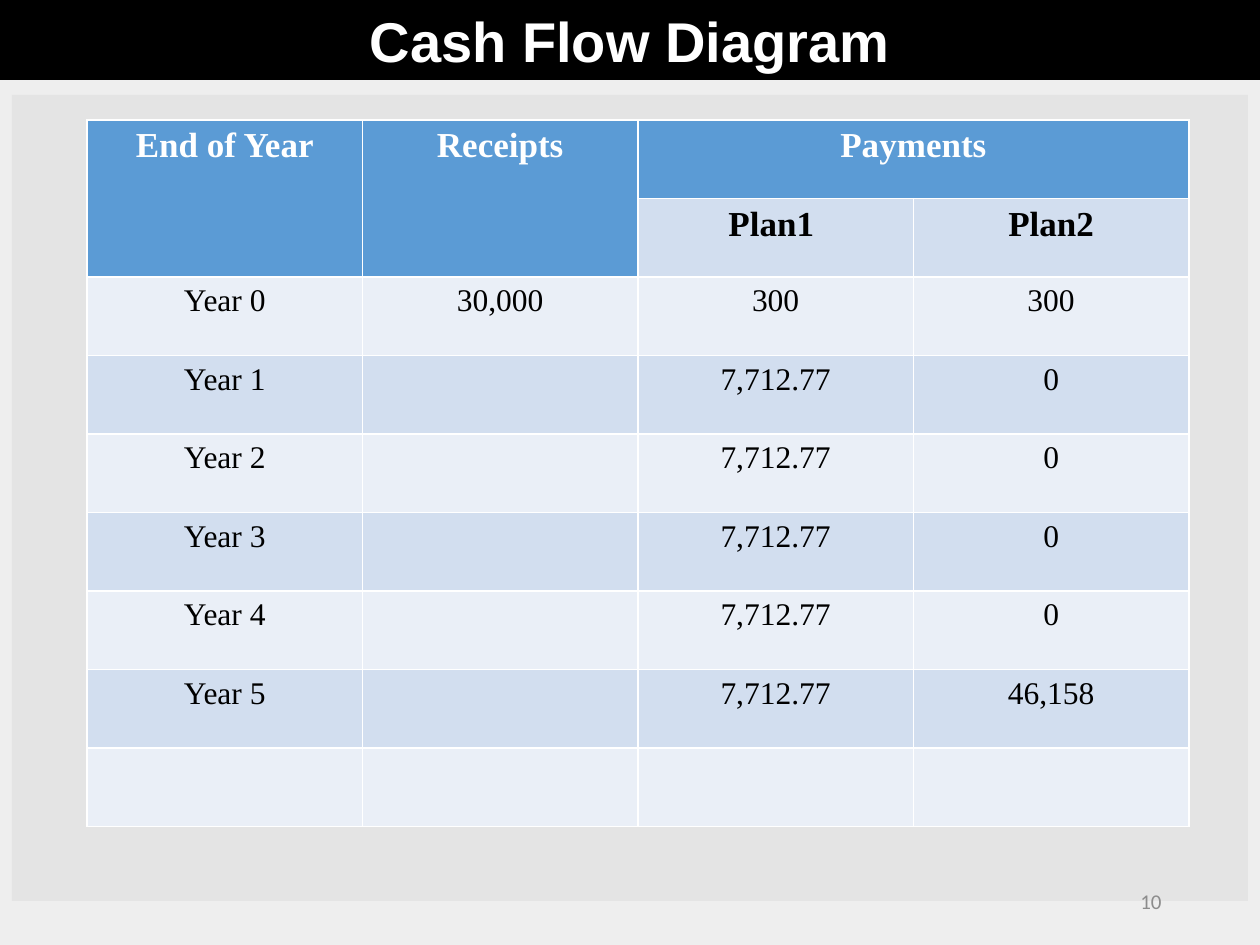
from pptx import Presentation
from pptx.dml.color import RGBColor
from pptx.enum.shapes import MSO_SHAPE as Shape
from pptx.enum.text import MSO_ANCHOR as Anchor, PP_ALIGN as Align
from pptx.util import Emu, Pt

PX = 914400 / 126
SLIDE_W, SLIDE_H = 1260, 945

BLACK = RGBColor(0x00, 0x00, 0x00)
WHITE = RGBColor(0xFF, 0xFF, 0xFF)
BACK_LEFT = RGBColor(0xEE, 0xEE, 0xEE)
BACK_RIGHT = RGBColor(0xF0, 0xF0, 0xF0)
PANEL = RGBColor(0xE4, 0xE4, 0xE4)
HEADER = RGBColor(0x5B, 0x9B, 0xD5)
BAND_DARK = RGBColor(0xD2, 0xDE, 0xEF)
BAND_LIGHT = RGBColor(0xEA, 0xEF, 0xF7)
PAGE_GREY = RGBColor(0x8C, 0x8C, 0x8C)

TITLE_FONT = dict(name="Arial", size=Pt(32), bold=True, color=WHITE)
PAGE_FONT = dict(name="Calibri", size=Pt(12), bold=False, color=PAGE_GREY)
HEADER_FONT = dict(name="Times New Roman", size=Pt(20), bold=True, color=WHITE)
PLAN_FONT = dict(HEADER_FONT, color=BLACK)
BODY_FONT = dict(PLAN_FONT, size=Pt(18), bold=False)

INSTALMENT = "7,712.77"
CASH_FLOWS = [
    ["End of Year", "Receipts", "Payments", ""],
    ["", "", "Plan1 ", "Plan2"],
    ["Year 0", "30,000", "300", "300"],
    *[[f"Year {year}", "", INSTALMENT, "0"] for year in range(1, 5)],
    ["Year 5", "", INSTALMENT, "46,158"],
    [""] * 4,
]
HEADER_MERGES = [((0, 0), (1, 0)), ((0, 1), (1, 1)), ((0, 2), (0, 3))]


def px(length):
    return Emu(round(length * PX))


def write(frame, text, style, align=Align.CENTER):
    paragraph = frame.paragraphs[0]
    paragraph.alignment = align
    run = paragraph.add_run()
    run.text = text
    for attribute, value in style.items():
        if attribute == "color":
            run.font.color.rgb = value
        else:
            setattr(run.font, attribute, value)


def paint_background(slide):
    fill = slide.background.fill
    fill.gradient()
    fill.gradient_angle = 0
    stops = zip(fill.gradient_stops, (0, 0.59), (BACK_LEFT, BACK_RIGHT))
    for stop, position, color in stops:
        stop.position = position
        stop.color.rgb = color


def add_panel(slide, box):
    panel = slide.shapes.add_shape(Shape.RECTANGLE, *map(px, box))
    panel.shadow.inherit = False
    panel.fill.solid()
    panel.fill.fore_color.rgb = PANEL
    panel.line.fill.background()


def place_title(slide, box, text):
    title = slide.shapes.title
    title.left, title.top, title.width, title.height = map(px, box)
    title.fill.solid()
    title.fill.fore_color.rgb = BLACK
    title.text_frame.vertical_anchor = Anchor.MIDDLE
    write(title.text_frame, text, TITLE_FONT)


def add_page_number(slide, box, number):
    frame = slide.shapes.add_textbox(*map(px, box)).text_frame
    frame.word_wrap = True
    frame.vertical_anchor = Anchor.MIDDLE
    write(frame, number, PAGE_FONT, Align.RIGHT)


def cell_look(row, column):
    """Return the fill and font of a cell."""
    if row == 0 or (row == 1 and column < 2):
        return HEADER, HEADER_FONT
    band = BAND_DARK if row % 2 else BAND_LIGHT
    return band, PLAN_FONT if row == 1 else BODY_FONT


def add_cash_flow_table(slide, box):
    rows, columns = len(CASH_FLOWS), len(CASH_FLOWS[0])
    table = slide.shapes.add_table(rows, columns, *map(px, box)).table
    for column in table.columns:
        column.width = px(box[2] / columns)
    for row in table.rows:
        row.height = px(box[3] / rows)
    for first, last in HEADER_MERGES:
        table.cell(*first).merge(table.cell(*last))

    for r, values in enumerate(CASH_FLOWS):
        for c, value in enumerate(values):
            cell = table.cell(r, c)
            color, style = cell_look(r, c)
            cell.fill.solid()
            cell.fill.fore_color.rgb = color
            if value:
                write(cell.text_frame, value, style)


def main():
    deck = Presentation()
    deck.slide_width, deck.slide_height = px(SLIDE_W), px(SLIDE_H)
    slide = deck.slides.add_slide(deck.slide_layouts[5])
    paint_background(slide)
    add_panel(slide, (12, 95, 1236, 806))
    place_title(slide, (0, 0, SLIDE_W, 80), "Cash Flow Diagram")
    add_page_number(slide, (890, 876, 284, 50), "10")
    add_cash_flow_table(slide, (87, 120, 1102, 707))
    deck.save("out.pptx")


if __name__ == "__main__":
    main()
